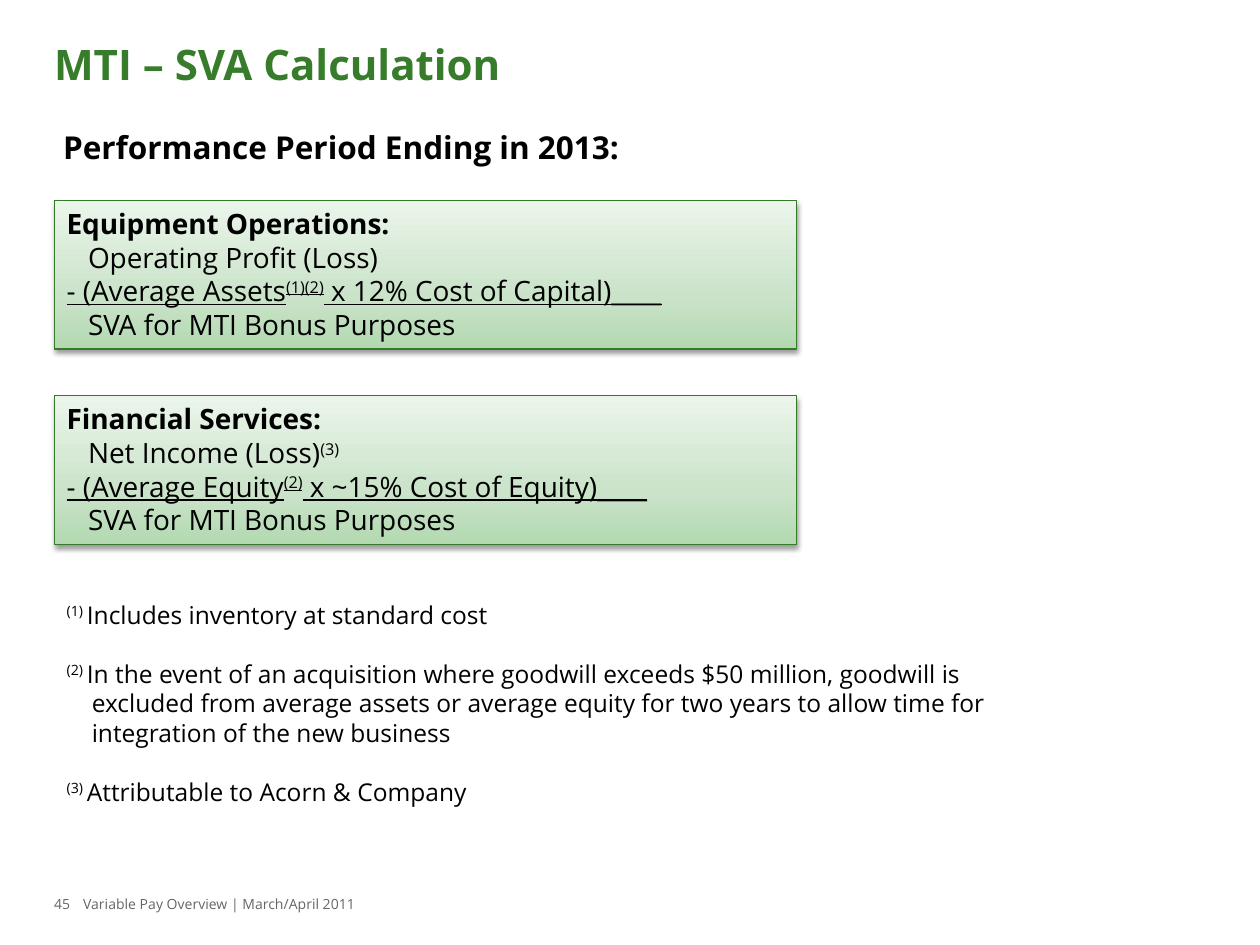
"""Build the MTI - SVA Calculation slide."""
from copy import deepcopy

from lxml import etree
from pptx import Presentation
from pptx.dml.color import RGBColor
from pptx.enum.shapes import MSO_SHAPE as SHAPE
from pptx.enum.text import MSO_ANCHOR as ANCHOR, PP_ALIGN as ALIGN
from pptx.oxml.ns import qn
from pptx.util import Inches, Pt

GREEN = RGBColor(0x36, 0x7C, 0x2B)
BORDER = RGBColor(0x33, 0x7B, 0x28)
GRAY = RGBColor(0x66, 0x66, 0x66)
BLACK = RGBColor(0, 0, 0)
STOPS = [
    (0, RGBColor(0xB3, 0xD9, 0xB1)),
    (0.35, RGBColor(0xCA, 0xE3, 0xC9)),
    (1, RGBColor(0xEB, 0xF5, 0xEA)),
]


def add_runs(p, runs, size, color=BLACK, **fmt):
    """Add runs to a paragraph; every second run is superscript."""
    p.alignment = ALIGN.LEFT
    for i, text in enumerate(runs):
        r = p.add_run()
        r.text = text
        values = {"name": "Open Sans", "size": Pt(size), "bold": False, **fmt}
        for key, value in values.items():
            setattr(r.font, key, value)
        r.font.color.rgb = color
        if i % 2:
            r._r.get_or_add_rPr().set("baseline", "30000")


def set_frame(sp, box, side=0.1):
    """Place a shape and return its text frame, top anchored and wrapped."""
    sp.left, sp.top, sp.width, sp.height = [Inches(v) for v in box]
    tf = sp.text_frame
    values = {
        "word_wrap": True,
        "vertical_anchor": ANCHOR.TOP,
        "margin_left": Inches(side),
        "margin_right": Inches(side),
        "margin_top": Inches(0.05),
        "margin_bottom": Inches(0.05),
    }
    for key, value in values.items():
        setattr(tf, key, value)
    return tf


prs = Presentation()
prs.slide_width, prs.slide_height = Inches(10), Inches(7.5)
s = prs.slides.add_slide(prs.slide_layouts[1])

tf = set_frame(s.shapes.title, (0.43, 0.3, 9.14, 0.71), 0)
p = tf.paragraphs[0]
p.line_spacing = 0.9
add_runs(p, ["MTI – SVA Calculation"], 24, GREEN, bold=True)

tf = set_frame(s.placeholders[1], (0.33, 1, 9.05, 3.58))
p = tf.paragraphs[0]
p.line_spacing, p.space_before, p.space_after = 0.9, Pt(3.6), Pt(1.8)
pPr = p._p.get_or_add_pPr()
pPr.set("marL", str(Inches(0.07)))
pPr.set("indent", "0")
etree.SubElement(pPr, qn("a:buNone"))
add_runs(p, ["Performance Period Ending in 2013:"], 18, bold=True)

footers = [(0.43, 0.25, "45"), (0.66, 5.95, "Variable Pay Overview | March/April 2011")]
for left, width, text in footers:
    tf = set_frame(s.shapes.add_textbox(0, 0, 0, 0), (left, 7.06, width, 0.25), 0)
    add_runs(tf.paragraphs[0], [text], 8, GRAY)

formulas = [
    (1.59, "Equipment Operations:", ["Operating Profit (Loss)"],
     ["- (Average Assets", "(1)(2)", " x 12% Cost of Capital)____"]),
    (3.14, "Financial Services:", ["Net Income (Loss)", "(3)"],
     ["- (Average Equity", "(2)", " x ~15% Cost of Equity)____"]),
]
for top, heading, income, charge in formulas:
    sp = s.shapes.add_shape(SHAPE.RECTANGLE, 0, 0, 0, 0)
    tf = set_frame(sp, (0.43, top, 5.89, 1.18))
    sp.fill.gradient()
    sp.fill.gradient_angle = 90
    gs_list = sp._element.spPr.find(qn("a:gradFill")).find(qn("a:gsLst"))
    gs_list.append(deepcopy(gs_list[0]))
    for stop, (position, color) in zip(sp.fill.gradient_stops, STOPS):
        stop.position = position
        stop.color.rgb = color
    sp.line.color.rgb = BORDER
    sp.line.width = Pt(0.75)
    sp.shadow.inherit = False
    effects = sp._element.spPr.find(qn("a:effectLst"))
    shadow = etree.SubElement(effects, qn("a:outerShdw"), blurRad=str(Pt(3.1)),
                              dist=str(Pt(1.6)), dir="5400000", rotWithShape="0")
    black = etree.SubElement(shadow, qn("a:srgbClr"), val="000000")
    etree.SubElement(black, qn("a:alpha"), val="38000")

    lines = [
        ([heading], 0, {"bold": True}),
        (income, 0.17, {}),
        (charge, 0, {"underline": True}),
        (["SVA for MTI Bonus Purposes"], 0.17, {}),
    ]
    for i, (runs, indent, fmt) in enumerate(lines):
        p = tf.add_paragraph() if i else tf.paragraphs[0]
        p._p.get_or_add_pPr().set("marL", str(Inches(indent)))
        add_runs(p, runs, 16, **fmt)

notes = [
    "Includes inventory at standard cost",
    "In the event of an acquisition where goodwill exceeds $50 million, goodwill is\v"
    "excluded from average assets or average equity for two years to allow time for\v"
    "integration of the new business",
    "Attributable to Acorn & Company",
]
tf = set_frame(s.shapes.add_textbox(0, 0, 0, 0), (0.43, 4.71, 8.72, 1.75))
for i, note in enumerate(notes):
    p = tf.add_paragraph() if i else tf.paragraphs[0]
    p.space_after = Pt(17)
    pPr = p._p.get_or_add_pPr()
    pPr.set("marL", str(Inches(0.2)))
    pPr.set("indent", str(-Inches(0.2)))
    add_runs(p, ["", f"({i + 1}) "], 14)
    first, *rest = note.split("\v")
    add_runs(p, [first], 14)
    for line in rest:
        p.add_line_break()
        add_runs(p, [line], 14)

prs.save("out.pptx")
